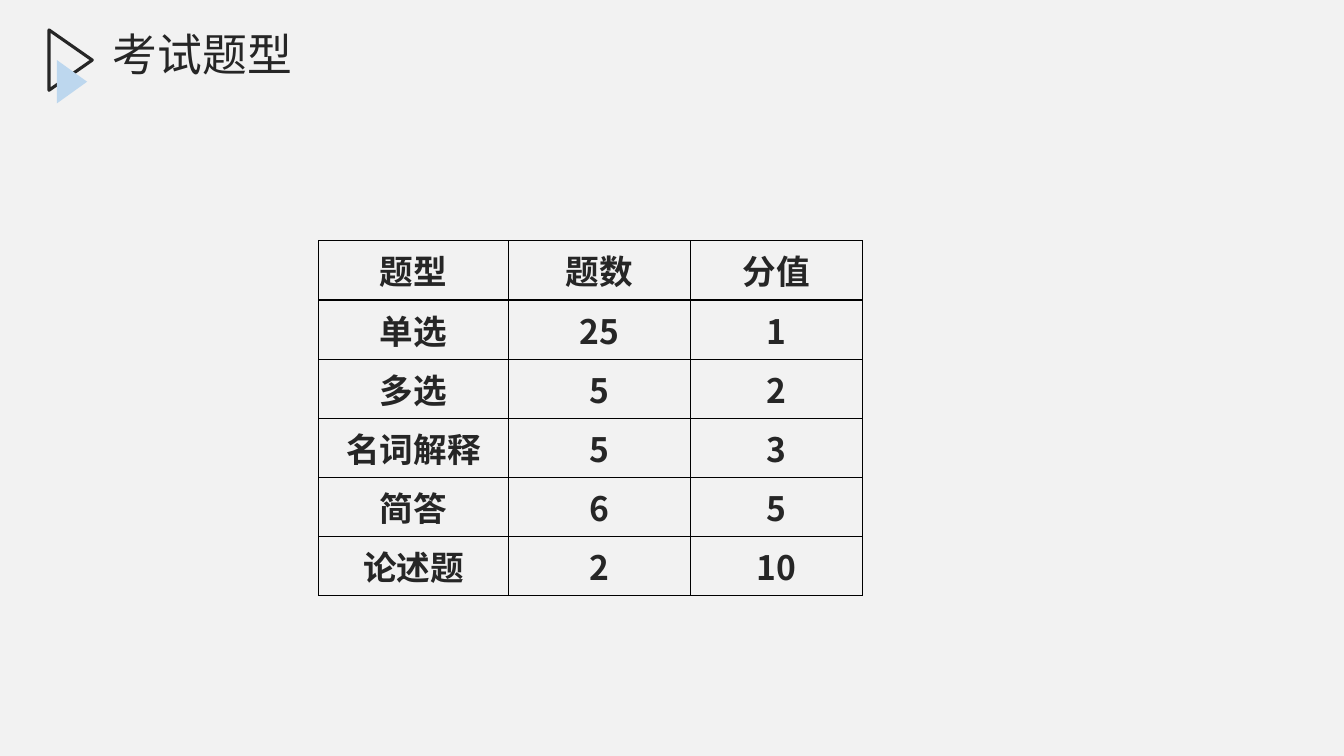
from dataclasses import dataclass
from typing import Optional

from lxml.etree import SubElement as Sub
from pptx import Presentation
from pptx.dml.color import RGBColor as Rgb
from pptx.enum.shapes import MSO_SHAPE as Kind
from pptx.enum.text import MSO_ANCHOR as Anchor, MSO_AUTO_SIZE as Auto, PP_ALIGN as Align
from pptx.oxml.ns import qn
from pptx.slide import Slide
from pptx.table import _Cell as Cell
from pptx.text.text import _Paragraph as Para
from pptx.util import Cm, Pt


@dataclass(frozen=True)
class Theme:
    font: str = "Noto Sans CJK SC"
    back: str = "F2F2F2"
    ink: str = "262626"
    sky: str = "BDD7EE"
    rule: str = "000000"
    head: int = 32
    body: int = 24
    edge: float = 2.25
    thin: int = 1


@dataclass(frozen=True)
class Mark:
    left: float
    top: float
    wide: float
    high: float
    fill: Optional[str] = None
    line: Optional[str] = None


THEME = Theme()

MARKS = [
    Mark(1.02, 0.97, 1.52, 1.09, line=THEME.ink),
    Mark(1.27, 1.68, 1.09, 0.76, fill=THEME.sky),
]

COLS = [4.78, 4.6, 4.32]
ROW = 1.49
ROWS = [
    ("题型", "题数", "分值"),
    ("单选", "25", "1"),
    ("多选", "5", "2"),
    ("名词解释", "5", "3"),
    ("简答", "6", "5"),
    ("论述题", "2", "10"),
]


def add_run(para: Para, text: str, size: int, bold: bool = False) -> None:
    run = para.add_run()
    run.text = text
    font = run.font
    font.name = THEME.font
    font.size = Pt(size)
    font.bold = bold
    font.color.rgb = Rgb.from_string(THEME.ink)
    Sub(font._element, qn("a:ea"), typeface=THEME.font)


def add_mark(slide: Slide, mark: Mark) -> None:
    shape = slide.shapes.add_shape(
        Kind.ISOSCELES_TRIANGLE,
        Cm(mark.left), Cm(mark.top), Cm(mark.wide), Cm(mark.high),
    )
    shape.rotation = 90
    shape.shadow.inherit = False
    if mark.fill:
        shape.fill.solid()
        shape.fill.fore_color.rgb = Rgb.from_string(mark.fill)
    else:
        shape.fill.background()
    if mark.line:
        shape.line.color.rgb = Rgb.from_string(mark.line)
        shape.line.width = Pt(THEME.edge)
    else:
        shape.line.fill.background()


def add_title(slide: Slide, text: str) -> None:
    title = slide.shapes.title
    title.left, title.top = Cm(2.59), Cm(0.69)
    title.width, title.height = Cm(19.38), Cm(2.26)
    frame = title.text_frame
    frame.auto_size = Auto.NONE
    frame.word_wrap = True
    frame.vertical_anchor = Anchor.TOP
    para = frame.paragraphs[0]
    para.alignment = Align.LEFT
    para.line_spacing = 0.9
    add_run(para, text, THEME.head)


def set_rules(cell: Cell) -> None:
    cell.fill.background()
    props = cell._tc.get_or_add_tcPr()
    for spot, side in enumerate("LRTB"):
        line = Sub(props, qn(f"a:ln{side}"), w=str(Pt(THEME.thin)))
        Sub(Sub(line, qn("a:solidFill")), qn("a:srgbClr"), val=THEME.rule)
        props.insert(spot, line)


def add_grid(slide: Slide) -> None:
    table = slide.shapes.add_table(
        len(ROWS), len(COLS), Cm(8.03), Cm(6.07), Cm(sum(COLS)), Cm(ROW * len(ROWS))
    ).table
    table.first_row = table.horz_banding = False
    for col, wide in zip(table.columns, COLS):
        col.width = Cm(wide)
    for row, texts in zip(table.rows, ROWS):
        row.height = Cm(ROW)
        for cell, text in zip(row.cells, texts):
            set_rules(cell)
            para = cell.text_frame.paragraphs[0]
            para.alignment = Align.CENTER
            add_run(para, text, THEME.body, bold=True)


def main() -> None:
    deck = Presentation()
    deck.slide_width, deck.slide_height = Cm(33.87), Cm(19.05)
    slide = deck.slides.add_slide(deck.slide_layouts.get_by_name("Title Only"))
    fill = slide.background.fill
    fill.solid()
    fill.fore_color.rgb = Rgb.from_string(THEME.back)
    for mark in MARKS:
        add_mark(slide, mark)
    add_title(slide, "考试题型")
    add_grid(slide)
    deck.save("out.pptx")


if __name__ == "__main__":
    main()
